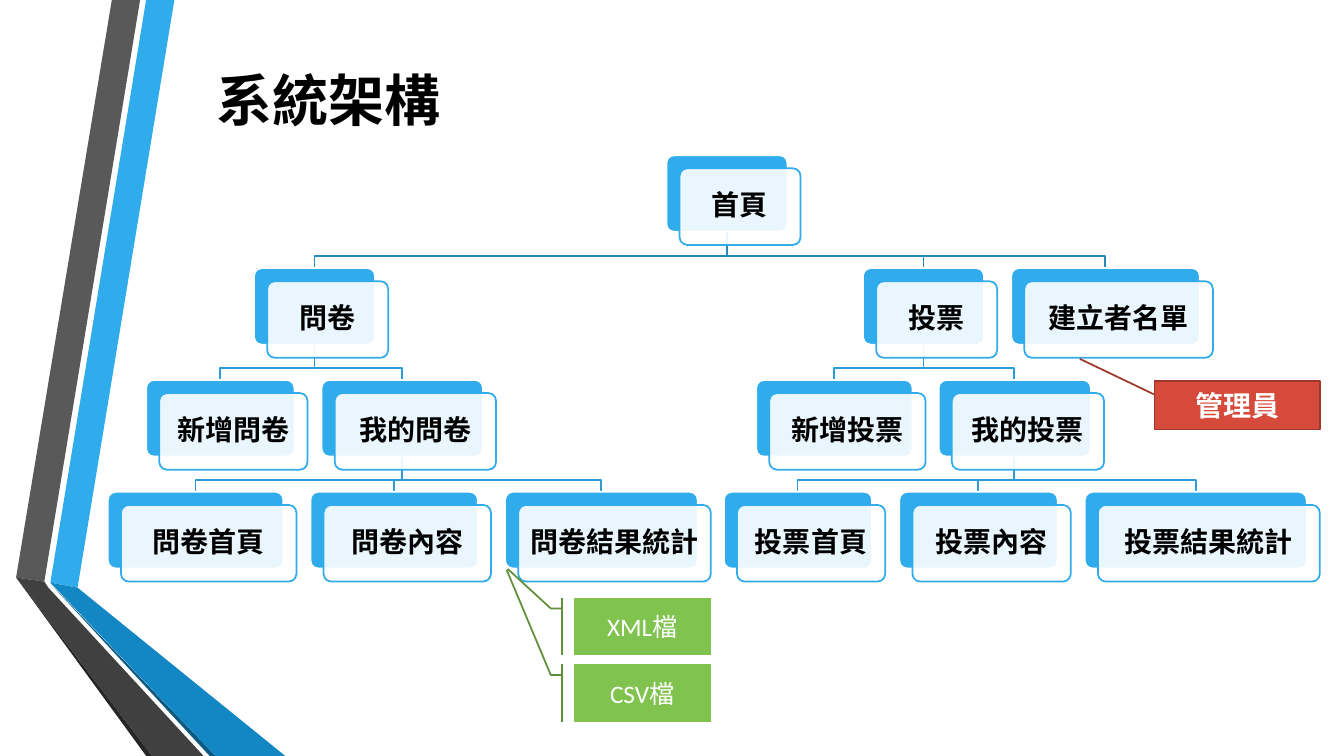
from lxml import etree
from pptx import Presentation, util as u
from pptx.dml.color import RGBColor
from pptx.enum import shapes, text
from pptx.oxml.ns import qn

PX = 9144  # 100 px to the inch
CJK = "Noto Sans CJK SC"
HEX = {
    "sky": "30ACEC", "blue": "1287C3", "navy": "0C5A82",
    "gray": "595959", "dark": "404040", "coal": "262626",
    "top": "268ABD", "link": "2C9CD6", "white": "FFFFFF", "black": "000000",
    "red": "D64A3B", "wine": "9E372C", "green": "80C34F", "moss": "5F903A",
}


def paint(shape, fill=None, line=None):
    """Set fill and outline by colour name; None means no paint."""
    shape.shadow.inherit = False
    for part, name in ((shape.fill, fill), (shape.line.fill, line)):
        if name:
            part.solid()
            part.fore_color.rgb = RGBColor.from_string(HEX[name])
        else:
            part.background()
    if line:
        shape.line.width = u.Pt(1.25)


def write(shape, words, size, color, face=CJK, bold=True, inset=10, gap=1.0):
    """Put one centred line of text in the middle of a shape."""
    frame = shape.text_frame
    look = {
        "word_wrap": True, "auto_size": text.MSO_AUTO_SIZE.NONE,
        "vertical_anchor": text.MSO_ANCHOR.MIDDLE,
        "margin_left": inset * PX, "margin_right": inset * PX,
    }
    for key, val in look.items():
        setattr(frame, key, val)
    para = frame.paragraphs[0]
    para.alignment = text.PP_ALIGN.CENTER
    para.line_spacing = gap
    run = para.add_run()
    run.text = words
    for key, val in {"size": u.Pt(size), "bold": bold, "name": face}.items():
        setattr(run.font, key, val)
    run.font.color.rgb = RGBColor.from_string(HEX[color])
    etree.SubElement(run.font._element, qn("a:ea"), typeface=CJK)


deck = Presentation()
deck.slide_width, deck.slide_height = 1333 * PX, 750 * PX
slide = deck.slides.add_slide(deck.slide_layouts[5])
tree = slide.shapes

# Ribbons at the left edge
ribbons = [
    ("sky", [(50, 578), (77, 583), (173, 0), (145, 0)]),
    ("gray", [(139, 0), (111, 0), (16, 573), (44, 577)]),
    ("coal", [(16, 573), (145, 750), (151, 750)]),
    ("navy", [(50, 579), (208, 750), (214, 750)]),
    ("blue", [(50, 578), (214, 750), (283, 750), (77, 583)]),
    ("dark", [(202, 750), (48, 583), (44, 577), (16, 573), (151, 750)]),
]
for color, spots in ribbons:
    pen = tree.build_freeform(*spots[0], scale=PX)
    pen.add_line_segments(spots[1:], close=True)
    paint(pen.convert_to_shape(), color)

title = tree.title
for key, val in {"left": 197, "top": 23, "width": 258, "height": 151}.items():
    setattr(title, key, val * PX)
write(title, "系統架構", 40, "black")

# Site map: label, parent, level, left, width
pages = [
    ("首頁", None, 0, 661, 120),
    ("問卷", "首頁", 1, 252, 120),
    ("新增問卷", "問卷", 2, 145, 147),
    ("我的問卷", "問卷", 2, 319, 160),
    ("問卷首頁", "我的問卷", 3, 107, 174),
    ("問卷內容", "我的問卷", 3, 308, 166),
    ("問卷結果統計", "我的問卷", 3, 501, 191),
    ("投票", "首頁", 1, 856, 120),
    ("新增投票", "投票", 2, 750, 155),
    ("我的投票", "投票", 2, 931, 151),
    ("投票首頁", "我的投票", 3, 718, 147),
    ("投票內容", "我的投票", 3, 892, 157),
    ("投票結果統計", "我的投票", 3, 1076, 220),
    ("建立者名單", "首頁", 1, 1003, 187),
]
tops = [154, 266, 377, 488]
tall, shift = 76, 13
mid = {label: left + wide // 2 for label, _, _, left, wide in pages}

for label, boss, level, _, _ in pages:
    if boss:
        start, end = mid[boss], mid[label]
        base, top = tops[level - 1] + tall, tops[level]
        pen = tree.build_freeform(start, base, scale=PX)
        turn = top - 12
        pen.add_line_segments([(start, turn), (end, turn), (end, top)], close=False)
        paint(pen.convert_to_shape(), line="top" if level == 1 else "link")

for label, _, level, left, wide in pages:
    for move, fill, line in ((0, "sky", "white"), (shift, "white", "sky")):
        box = tree.add_shape(
            shapes.MSO_SHAPE.ROUNDED_RECTANGLE, (left + move) * PX,
            (tops[level] + move) * PX, wide * PX, tall * PX)
        box.adjustments[0] = 0.1
        paint(box, fill, line)
    tint = box.fill._xPr.find(qn("a:solidFill"))[0]
    etree.SubElement(tint, qn("a:alpha"), val="90000")
    write(box, label, 20, "black", inset=8, gap=0.9)

# Callouts
border = shapes.MSO_SHAPE.LINE_CALLOUT_1
accent = shapes.MSO_SHAPE.LINE_CALLOUT_2_ACCENT_BAR
bend = [0.188, -0.083, 0.188, -0.167]
notes = [
    ("管理員", border, (1145, 378, 164, 48), [0.275, -0.003, -0.458, -0.451],
     "red", "wine", 20, CJK, True),
    ("XML檔", accent, (569, 593, 136, 57), bend + [-0.5, -0.481],
     "green", "moss", 18, "Calibri", False),
    ("CSV檔", accent, (569, 659, 136, 57), bend + [-1.643, -0.489],
     "green", "moss", 18, "Calibri", False),
]
for words, kind, area, knobs, fill, line, size, face, bold in notes:
    note = tree.add_shape(kind, *[n * PX for n in area])
    for i, knob in enumerate(knobs):
        note.adjustments[i] = knob
    paint(note, fill, line)
    write(note, words, size, "white", face, bold)

deck.save("out.pptx")
